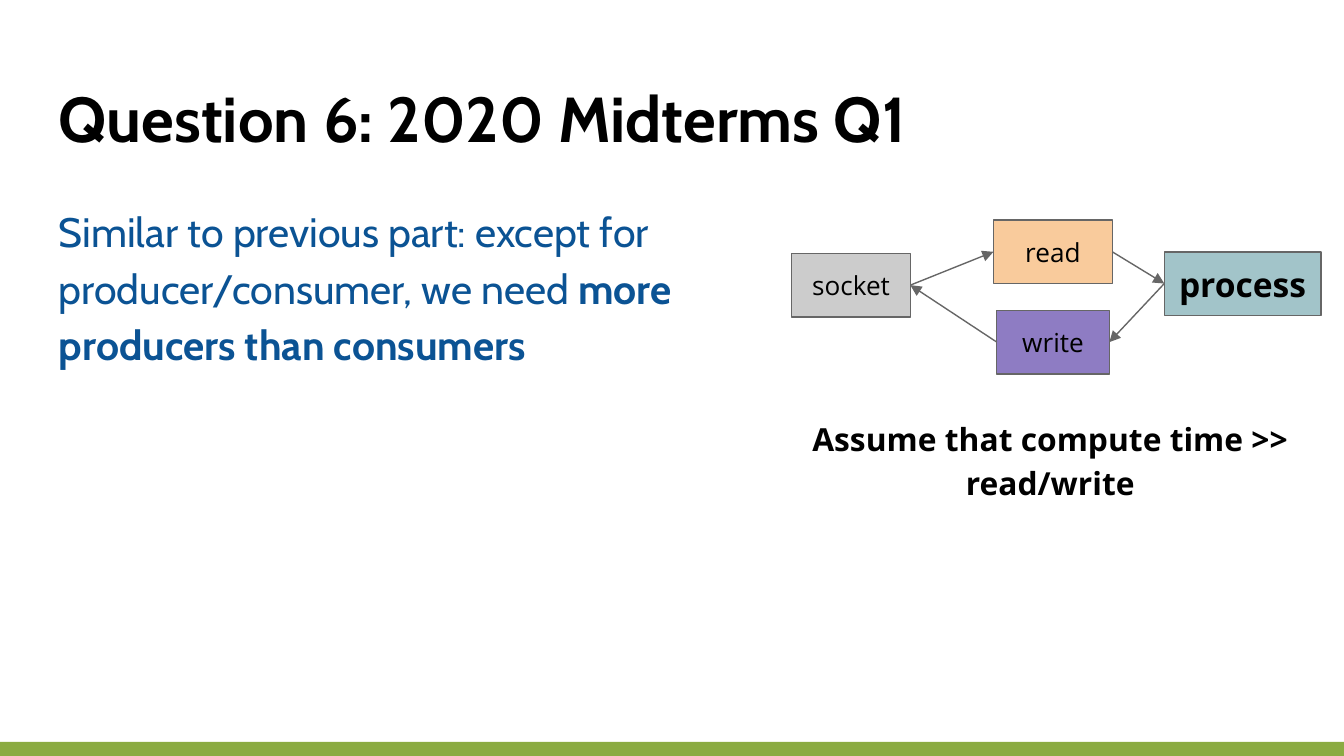
from dataclasses import dataclass

import lxml.etree
import pptx
import pptx.dml.color
import pptx.enum.shapes
import pptx.enum.text
import pptx.oxml.ns
import pptx.shapes.autoshape
import pptx.slide
import pptx.util

RGBColor = pptx.dml.color.RGBColor
WHITE = RGBColor(0xFF, 0xFF, 0xFF)
BLACK = RGBColor(0x00, 0x00, 0x00)
BLUE = RGBColor(0x0B, 0x53, 0x94)
GREEN = RGBColor(0x8B, 0xAB, 0x42)
OUTLINE = RGBColor(0x66, 0x66, 0x66)
GREY = RGBColor(0xCC, 0xCC, 0xCC)
ORANGE = RGBColor(0xF9, 0xCB, 0x9C)
TEAL = RGBColor(0xA2, 0xC4, 0xC9)
PURPLE = RGBColor(0x8E, 0x7C, 0xC3)

HEADING_FONT = "Cabin"
DIAGRAM_FONT = "Open Sans"

CELL = pptx.util.Inches(0.1)  # square grid cell
COLUMNS, ROWS = 100, 56.25
FOOTER_HEIGHT = 1.05
MARGIN = 3.41
STAGE_HEIGHT = 4.72
LEFT_SIDE, RIGHT_SIDE = 1, 3


@dataclass(frozen=True)
class Area:
    """A rectangle in grid columns and rows."""
    column: float
    row: float
    columns: float
    rows: float

    def lengths(self) -> list[int]:
        return [round(cells * CELL)
                for cells in (self.column, self.row, self.columns, self.rows)]


@dataclass(frozen=True)
class TextStyle:
    font: str
    size: float
    color: RGBColor
    bold: bool = False
    centred: bool = False
    line_spacing: float = 1.0


@dataclass(frozen=True)
class Stage:
    name: str
    area: Area
    fill: RGBColor
    style: TextStyle


@dataclass(frozen=True)
class Flow:
    source: str
    source_side: int
    target: str
    target_side: int


TITLE_STYLE = TextStyle(HEADING_FONT, 34, BLACK, bold=True)
BODY_STYLE = TextStyle(HEADING_FONT, 22, BLUE, line_spacing=1.15)
NOTE_STYLE = TextStyle(DIAGRAM_FONT, 17, BLACK, True, True, 1.15)
STAGE_STYLE = TextStyle(DIAGRAM_FONT, 14, BLACK, centred=True)
STRONG_STAGE_STYLE = TextStyle(DIAGRAM_FONT, 18, BLACK, True, True)

STAGES = [
    Stage("socket", Area(58.9, 18.86, 8.84, STAGE_HEIGHT), GREY, STAGE_STYLE),
    Stage("read", Area(73.92, 16.38, 8.84, STAGE_HEIGHT), ORANGE, STAGE_STYLE),
    Stage("process", Area(86.63, 18.74, 11.66, STAGE_HEIGHT), TEAL, STRONG_STAGE_STYLE),
    Stage("write", Area(74.17, 23.1, 8.37, STAGE_HEIGHT), PURPLE, STAGE_STYLE),
]
FLOWS = [
    Flow("socket", RIGHT_SIDE, "read", LEFT_SIDE),
    Flow("read", RIGHT_SIDE, "process", LEFT_SIDE),
    Flow("process", LEFT_SIDE, "write", RIGHT_SIDE),
    Flow("write", LEFT_SIDE, "socket", RIGHT_SIDE),
]


def write_text(shape: pptx.shapes.autoshape.Shape, style: TextStyle,
               text: str, bold_ending: str = "") -> None:
    frame = shape.text_frame
    frame.word_wrap = True
    frame.margin_left = frame.margin_right = CELL
    frame.margin_top = frame.margin_bottom = CELL
    paragraph = frame.paragraphs[0]
    paragraph.line_spacing = style.line_spacing
    if style.centred:
        paragraph.alignment = pptx.enum.text.PP_ALIGN.CENTER
    paragraph.font.name = style.font
    paragraph.font.size = pptx.util.Pt(style.size)
    paragraph.font.color.rgb = style.color
    paragraph.font.bold = style.bold
    paragraph.add_run().text = text
    if bold_ending:
        run = paragraph.add_run()
        run.text = bold_ending
        run.font.bold = True


def add_text(slide: pptx.slide.Slide, area: Area, style: TextStyle,
             text: str, bold_ending: str = "") -> None:
    write_text(slide.shapes.add_textbox(*area.lengths()), style, text, bold_ending)


def add_rectangle(slide: pptx.slide.Slide, area: Area,
                  fill: RGBColor) -> pptx.shapes.autoshape.Shape:
    shape = slide.shapes.add_shape(
        pptx.enum.shapes.MSO_SHAPE.RECTANGLE, *area.lengths())
    shape.shadow.inherit = False
    shape.fill.solid()
    shape.fill.fore_color.rgb = fill
    shape.line.fill.background()
    return shape


def add_stage(slide: pptx.slide.Slide, stage: Stage) -> pptx.shapes.autoshape.Shape:
    shape = add_rectangle(slide, stage.area, stage.fill)
    shape.line.color.rgb = OUTLINE
    shape.line.width = pptx.util.Pt(0.75)
    write_text(shape, stage.style, stage.name)
    shape.text_frame.vertical_anchor = pptx.enum.text.MSO_ANCHOR.MIDDLE
    return shape


def add_flow(slide: pptx.slide.Slide, flow: Flow,
             shapes: dict[str, pptx.shapes.autoshape.Shape]) -> None:
    arrow = slide.shapes.add_connector(
        pptx.enum.shapes.MSO_CONNECTOR.STRAIGHT, 0, 0, 0, 0)
    arrow.begin_connect(shapes[flow.source], flow.source_side)
    arrow.end_connect(shapes[flow.target], flow.target_side)
    arrow.line.color.rgb = OUTLINE
    arrow.line.width = pptx.util.Pt(0.75)
    qualified = pptx.oxml.ns.qn
    properties = arrow.element.spPr
    lxml.etree.SubElement(properties.find(qualified("a:ln")),
                          qualified("a:tailEnd"), type="triangle")
    lxml.etree.SubElement(properties, qualified("a:effectLst"))


def main() -> None:
    presentation = pptx.Presentation()
    presentation.slide_width = round(COLUMNS * CELL)
    presentation.slide_height = round(ROWS * CELL)
    slide = presentation.slides.add_slide(presentation.slide_layouts[6])
    slide.background.fill.solid()
    slide.background.fill.fore_color.rgb = WHITE

    add_rectangle(slide, Area(0, ROWS - FOOTER_HEIGHT, COLUMNS, FOOTER_HEIGHT), GREEN)
    add_text(slide, Area(MARGIN, 4.9, COLUMNS - 2 * MARGIN, 7.7), TITLE_STYLE,
             "Question 6: 2020 Midterms Q1")
    add_text(slide, Area(MARGIN, 13.83, 54.6, 36.1), BODY_STYLE,
             "Similar to previous part: except for producer/consumer, we need ",
             "more producers than consumers")
    add_text(slide, Area(56.3, 29.83, 43.7, 8.2), NOTE_STYLE,
             "Assume that compute time >> read/write")

    shapes = {stage.name: add_stage(slide, stage) for stage in STAGES}
    for flow in FLOWS:
        add_flow(slide, flow, shapes)

    presentation.save("out.pptx")


if __name__ == "__main__":
    main()
